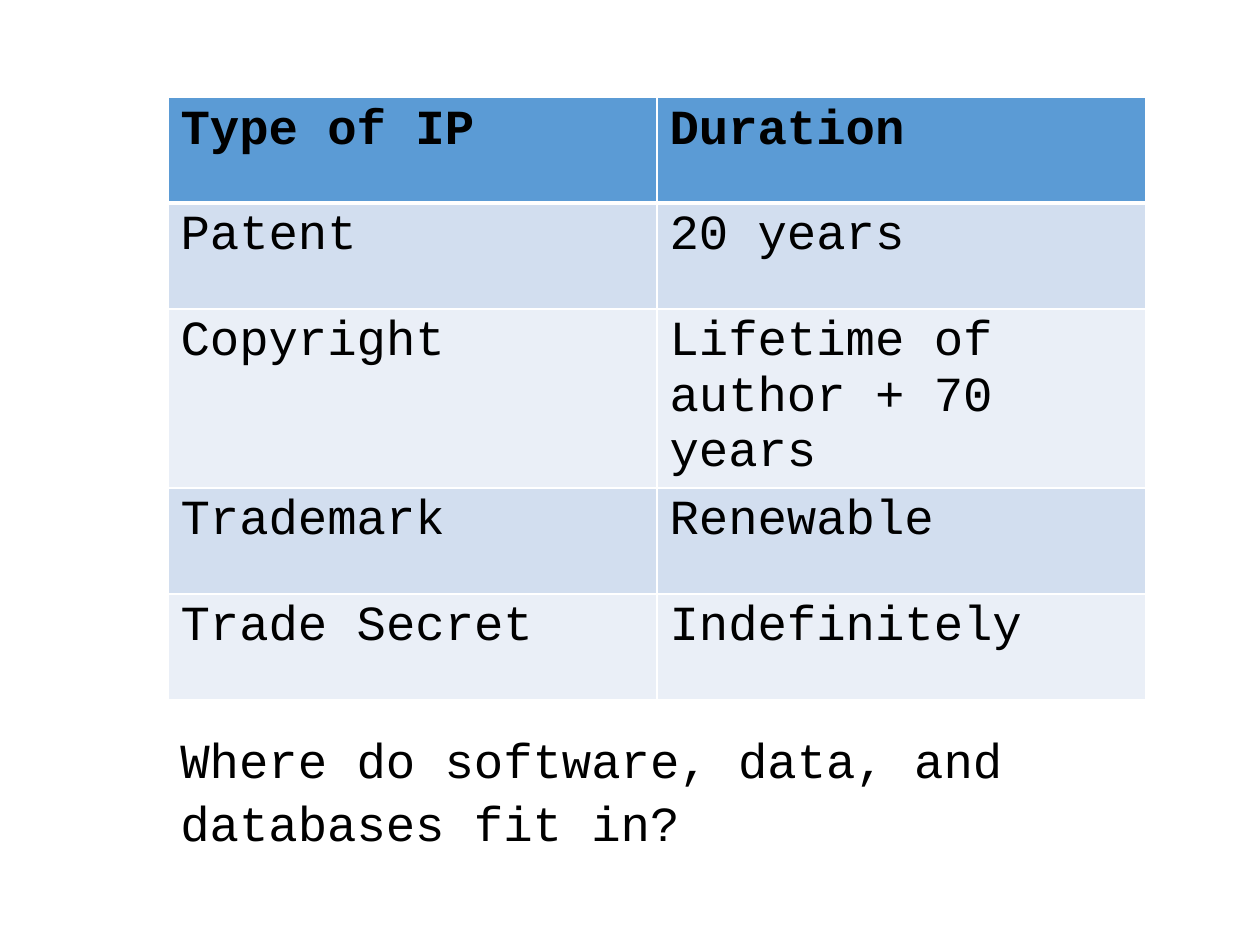
from dataclasses import dataclass

from lxml.etree import SubElement
from pptx import Presentation
from pptx.dml.color import RGBColor
from pptx.enum.text import MSO_AUTO_SIZE
from pptx.oxml.ns import qn
from pptx.util import Pt

EMU_PER_PX = 914400 / 126
LEFT, WIDTH = 168, 978
TABLE_TOP, ROW_HEIGHT, TALL_ROW_HEIGHT = 97, 106, 179
QUESTION_TOP, QUESTION_HEIGHT = 719, 131
COPYRIGHT_ROW = 2

DURATIONS = [
    ("Type of IP", "Duration"),
    ("Patent", "20 years"),
    ("Copyright", "Lifetime of author + 70 years"),
    ("Trademark", "Renewable"),
    ("Trade Secret", "Indefinitely"),
]
QUESTION = "Where do software, data, and databases fit in?"


@dataclass(frozen=True)
class Theme:
    """Colours, font and sizes of the slide."""

    font: str = "Courier New"
    size: int = 28
    text: str = "000000"
    header: str = "5B9BD5"
    bands: tuple = ("D2DEEF", "EAEFF7")
    border: str = "FFFFFF"
    thin: int = 1
    thick: int = 3


THEME = Theme()


def px(length):
    """Turn a length in px into EMU."""
    return round(length * EMU_PER_PX)


def add_text(paragraph, text, bold=False):
    """Add one run in the slide's font."""
    run = paragraph.add_run()
    run.text = text
    run.font.name = THEME.font
    run.font.size = Pt(THEME.size)
    run.font.bold = bold
    run.font.color.rgb = RGBColor.from_string(THEME.text)


def add_borders(cell, top, bottom):
    """Draw the four borders of a cell, with widths in points."""
    properties = cell._tc.get_or_add_tcPr()
    widths = {"L": THEME.thin, "R": THEME.thin, "T": top, "B": bottom}
    for side, width in widths.items():
        line = SubElement(properties, qn(f"a:ln{side}"), w=str(Pt(width)))
        fill = SubElement(line, qn("a:solidFill"))
        SubElement(fill, qn("a:srgbClr"), val=THEME.border)


def add_duration_table(slide):
    """Add the table of durations with its header and banded rows."""
    row_heights = [ROW_HEIGHT] * len(DURATIONS)
    row_heights[COPYRIGHT_ROW] = TALL_ROW_HEIGHT
    table = slide.shapes.add_table(
        len(DURATIONS), len(DURATIONS[0]),
        px(LEFT), px(TABLE_TOP), px(WIDTH), px(sum(row_heights)),
    ).table
    for row_index, texts in enumerate(DURATIONS):
        table.rows[row_index].height = px(row_heights[row_index])
        is_header = row_index == 0
        color = THEME.header if is_header else THEME.bands[(row_index - 1) % 2]
        top = THEME.thick if row_index == 1 else THEME.thin
        bottom = THEME.thick if is_header else THEME.thin
        for column_index, text in enumerate(texts):
            cell = table.cell(row_index, column_index)
            add_borders(cell, top, bottom)
            cell.fill.solid()
            cell.fill.fore_color.rgb = RGBColor.from_string(color)
            add_text(cell.text_frame.paragraphs[0], text, is_header)


def add_question(slide):
    """Add the question below the table."""
    shape = slide.shapes.add_textbox(
        px(LEFT), px(QUESTION_TOP), px(WIDTH), px(QUESTION_HEIGHT)
    )
    frame = shape.text_frame
    frame.word_wrap = True
    frame.auto_size = MSO_AUTO_SIZE.SHAPE_TO_FIT_TEXT
    paragraph = frame.paragraphs[0]
    paragraph.line_spacing = 1.07
    add_text(paragraph, QUESTION)


def main():
    """Build and save the slide."""
    presentation = Presentation()
    presentation.slide_width = px(1260)
    presentation.slide_height = px(945)
    slide = presentation.slides.add_slide(presentation.slide_layouts[6])
    add_duration_table(slide)
    add_question(slide)
    presentation.save("out.pptx")


if __name__ == "__main__":
    main()
